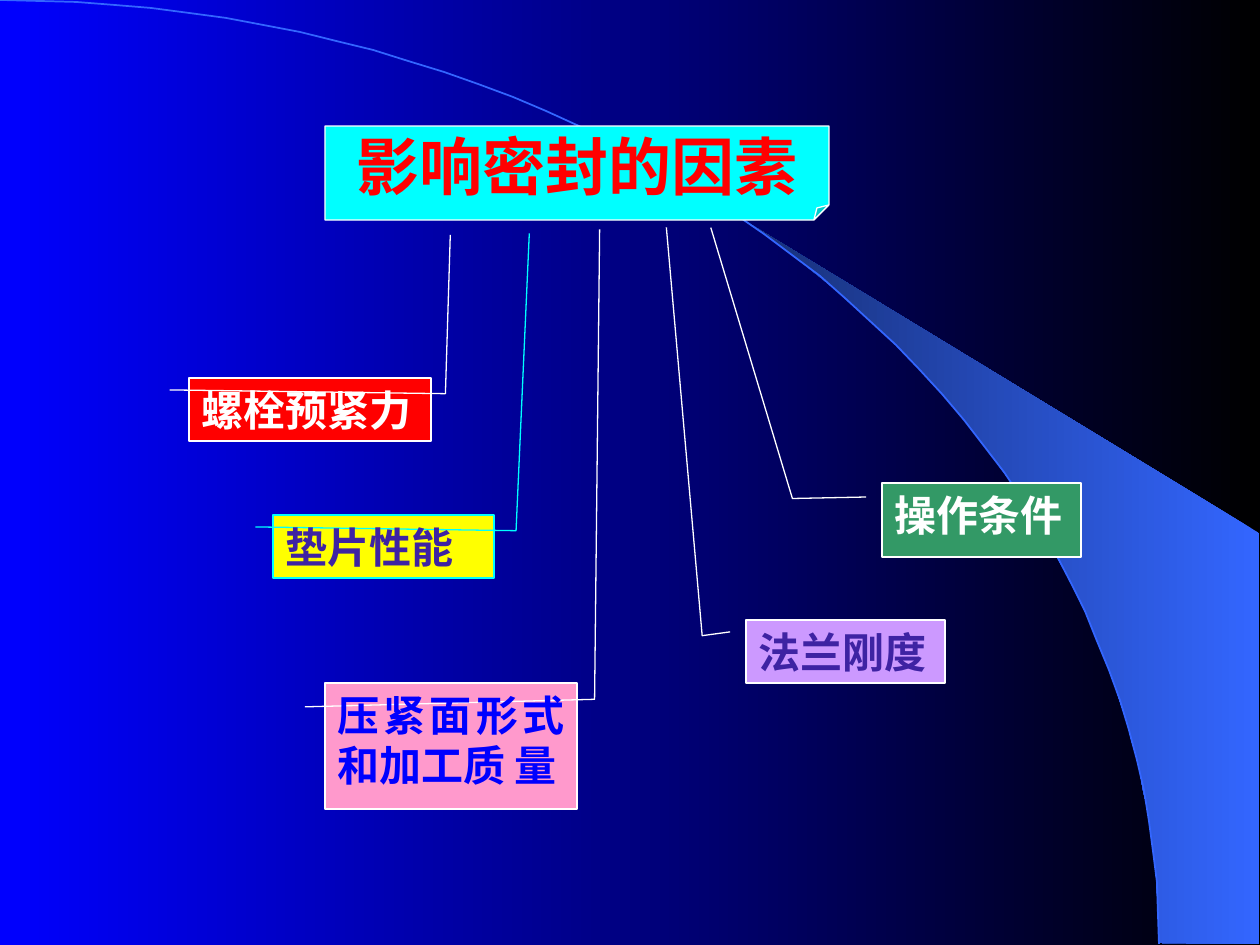
"""Build a slide of five factors that affect sealing."""
import math
from dataclasses import dataclass

from pptx import Presentation
from pptx import util as u
from pptx.dml.color import RGBColor
from pptx.enum import shapes, text

PX = 914400 / 126
W, H = 1260, 945


@dataclass(frozen=True)
class Theme:
    """Colours, font and type sizes of the slide."""
    font: str = "Times New Roman"
    title_size: int = 36
    label_size: int = 24
    black: str = "000000"
    white: str = "FFFFFF"
    blue: str = "0000FF"
    red: str = "FF0000"
    cyan: str = "00FFFF"
    yellow: str = "FFFF00"
    violet: str = "3E23A3"
    lilac: str = "CC99FF"
    pink: str = "FF99CC"
    green: str = "339966"
    arc: str = "3366FF"
    shade: str = "172F75"


T = Theme()
START = (0.19, -0.08)
CALLOUTS = [
    ("螺栓预紧力", (189, 378, 242, 63), T.red, T.white, T.white,
     (0.25, 1.06, -2.27, 1.08)),
    ("法兰刚度", (746, 620, 199, 63), T.lilac, T.violet, T.white,
     (0.25, -0.22, -6.23, -0.4)),
    ("压紧面形式和加工质 量", (325, 683, 252, 126), T.pink, T.blue, T.white,
     (0.13, 1.07, -3.6, 1.09)),
    ("垫片性能", (273, 515, 221, 63), T.yellow, T.violet, T.cyan,
     (0.25, 1.1, -4.47, 1.16)),
    ("操作条件", (882, 483, 199, 74), T.green, T.white, T.white,
     (0.21, -0.45, -3.45, -0.86)),
]


def px(n):
    """Turn px into EMU."""
    return u.Emu(round(n * PX))


def rgb(value):
    """Turn a hex string into a colour."""
    return RGBColor.from_string(value)


def gradient(fill, right, left):
    """Fill with a horizontal gradient between two colours."""
    fill.gradient()
    fill.gradient_angle = 180
    for stop, color in zip(fill.gradient_stops, (right, left)):
        stop.color.rgb = rgb(color)


def arc_points(box, start, end, steps=48):
    """Return points on the upper right quarter ellipse that fills a box."""
    x, y, w, h = box
    angles = [math.radians(start + (end - start) * i / steps)
              for i in range(steps + 1)]
    return [(x + w * math.sin(a), y + h * (1 - math.cos(a))) for a in angles]


def freeform(s, points, close):
    """Draw an outline through points given in px."""
    builder = s.shapes.build_freeform(*points[0], scale=PX)
    builder.add_line_segments(points[1:], close=close)
    sp = builder.convert_to_shape()
    sp.shadow.inherit = False
    return sp


def add_backdrop(s, box):
    """Draw the gradient background, the light beam and the arc."""
    x, y, w, h = box
    gradient(s.background.fill, T.black, T.blue)
    ellipse = (x, y, w - 101, h - 1)
    edge = [(x + w - 101, y + h - 2), (x + w - 1, y + h - 1),
            (x + w - 1, y + 533)]
    beam = freeform(s, edge + arc_points(ellipse, 39.8, 90), True)
    gradient(beam.fill, T.arc, T.shade)
    beam.line.fill.background()
    arc = freeform(s, arc_points(ellipse, 0, 90), False)
    arc.fill.background()
    arc.line.color.rgb = rgb(T.arc)
    arc.line.width = u.Pt(1)


def add_box(s, kind, box, fill, line, guides):
    """Add a filled and outlined preset shape with named guides."""
    sp = s.shapes.add_shape(kind, *map(px, box))
    sp.shadow.inherit = False
    sp.fill.solid()
    sp.fill.fore_color.rgb = rgb(fill)
    sp.line.color.rgb = rgb(line)
    sp.line.width = u.Pt(0.75)
    sp.element.prstGeom.rewrite_guides(
        [(name, round(value * 100000)) for name, value in guides])
    return sp


def put_text(sp, words, *, size, color, align, anchor, wrap=True):
    """Write bold text into a shape."""
    tf = sp.text_frame
    tf.word_wrap = wrap
    tf.vertical_anchor = anchor
    p = tf.paragraphs[0]
    p.alignment = align
    r = p.add_run()
    r.text = words
    r.font.name = T.font
    r.font.size = u.Pt(size)
    r.font.bold = True
    r.font.color.rgb = rgb(color)


def add_title(s, box, words):
    """Add the title on a sheet with a folded corner."""
    sp = add_box(s, shapes.MSO_SHAPE.FOLDED_CORNER, box, T.cyan, T.white,
                 [("adj", 0.16)])
    put_text(sp, words, size=T.title_size, color=T.red, wrap=False,
             align=text.PP_ALIGN.CENTER, anchor=text.MSO_ANCHOR.MIDDLE)


def add_callout(s, box, words, fill, color, line, leader):
    """Add a factor label with its bent leader line."""
    guides = [(f"adj{i}", v) for i, v in enumerate(START + leader, 1)]
    sp = add_box(s, shapes.MSO_SHAPE.LINE_CALLOUT_2, box, fill, line, guides)
    put_text(sp, words, size=T.label_size, color=color,
             align=text.PP_ALIGN.JUSTIFY, anchor=text.MSO_ANCHOR.TOP)


def main():
    """Build and save the slide."""
    prs = Presentation()
    prs.slide_width, prs.slide_height = px(W), px(H)
    s = prs.slides.add_slide(prs.slide_layouts[6])
    add_backdrop(s, (0, 0, W, H))
    add_title(s, (325, 126, 504, 94), "影响密封的因素")
    for words, box, *style in CALLOUTS:
        add_callout(s, box, words, *style)
    prs.save("out.pptx")


if __name__ == "__main__":
    main()
